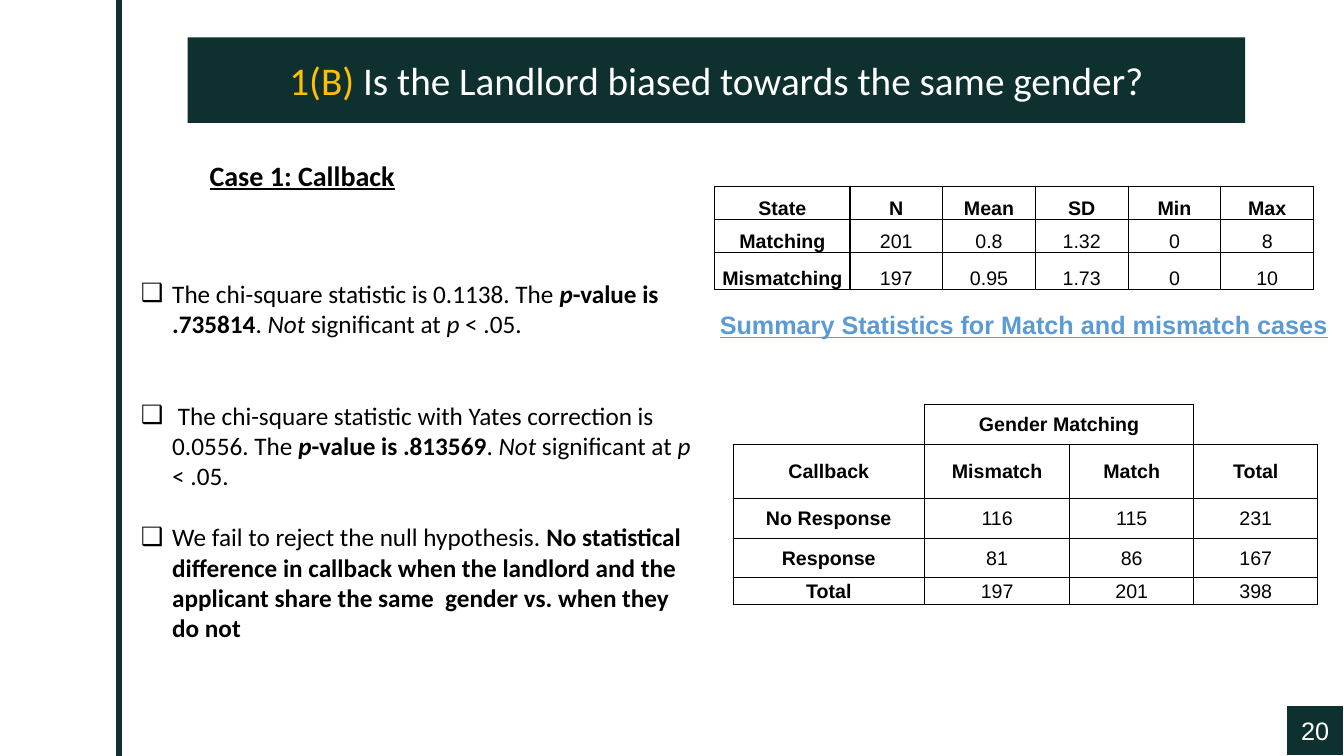
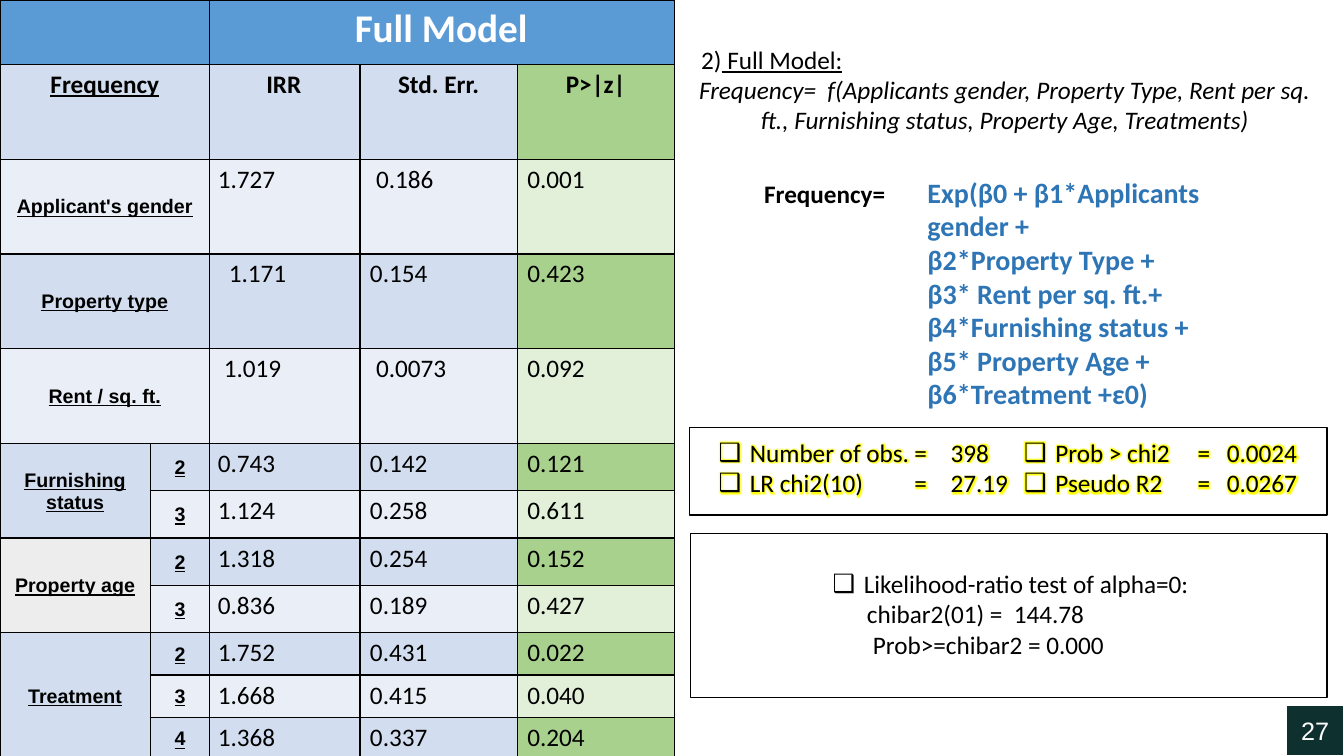
from dataclasses import dataclass, field
from typing import Any, NamedTuple

from lxml import etree
from pptx import Presentation
from pptx.dml.color import RGBColor
from pptx.enum.shapes import MSO_CONNECTOR, MSO_SHAPE
from pptx.enum.text import MSO_ANCHOR, PP_ALIGN
from pptx.oxml.ns import qn
from pptx.util import Inches, Pt

CENTER = PP_ALIGN.CENTER
TOP, MIDDLE, BOTTOM = MSO_ANCHOR.TOP, MSO_ANCHOR.MIDDLE, MSO_ANCHOR.BOTTOM
RECT, STRAIGHT = MSO_SHAPE.RECTANGLE, MSO_CONNECTOR.STRAIGHT

DARK = RGBColor(0x0E, 0x30, 0x2F)
GOLD = RGBColor(0xFF, 0xC0, 0x00)
WHITE = RGBColor(0xFF, 0xFF, 0xFF)
BLACK = RGBColor(0x00, 0x00, 0x00)
BLUE = RGBColor(0x5B, 0x9B, 0xD5)
NAVY = RGBColor(0x2E, 0x75, 0xB6)
GRAY = RGBColor(0xED, 0xED, 0xED)
BANDS = (RGBColor(0xEA, 0xEF, 0xF7), RGBColor(0xD2, 0xDE, 0xEF))
GREENS = (RGBColor(0xE2, 0xF0, 0xD9), RGBColor(0xA9, 0xD1, 0x8E))
GLOW = "FFFF00"

BODY = {"name": "Calibri", "size": Pt(18), "color": BLACK}
CELL = {"name": "Arial", "size": Pt(14), "color": BLACK}
HEAD = CELL | {"bold": True}
LABEL = HEAD | {"underline": True}
BOLD, ITALIC = {"bold": True}, {"italic": True}
SIDES = "LRTB"
TIGHT = (0.01, 0.01, 0.01, 0)
NORMAL = (0.1, 0.05, 0.1, 0.05)


class Box(NamedTuple):
    left: float
    top: float
    width: float
    height: float

    def emu(self) -> list[Any]:
        return [Inches(value) for value in self]


class Run(NamedTuple):
    text: str
    font: dict[str, Any] = {}


@dataclass
class Para:
    runs: list[Run]
    style: dict[str, Any] = field(default_factory=dict)
    left: float = 0
    bullet: bool = False
    tabs: tuple[float, ...] = ()


@dataclass
class Look:
    """How one table cell is drawn."""
    font: dict[str, Any]
    style: dict[str, Any] = field(default_factory=dict)
    anchor: Any = TOP
    pads: tuple[float, ...] = NORMAL
    fill: RGBColor | None = None


def plain(text: str, **options: Any) -> Para:
    return Para([Run(text)], **options)


def child(parent: Any, tag: str, **values: Any) -> Any:
    return etree.SubElement(parent, qn(tag), {key: str(val) for key, val in values.items()})


def add_run(para: Any, run: Run, base: dict[str, Any]) -> Any:
    part = para.add_run()
    part.text = run.text
    for key, value in (base | run.font).items():
        if key == "color":
            part.font.color.rgb = value
        else:
            setattr(part.font, key, value)
    return part


def write(frame: Any, paras: list[Para], base: dict[str, Any], glow: bool = False) -> None:
    for index, item in enumerate(paras):
        para = frame.add_paragraph() if index else frame.paragraphs[0]
        for key, value in item.style.items():
            setattr(para, key, value)
        props = para._p.get_or_add_pPr()
        if item.left:
            props.set("marL", str(Inches(item.left)))
        if item.bullet:
            props.set("indent", str(-Inches(item.left)))
            child(props, "a:buFont", typeface="Arial")
            child(props, "a:buChar", char="❑")
        if item.tabs:
            stops = child(props, "a:tabLst")
            for stop in item.tabs:
                child(stops, "a:tab", pos=Inches(stop), algn="l")
        for run in item.runs:
            part = add_run(para, run, base)
            if glow:
                add_glow(part)


def add_glow(run: Any) -> None:
    props = run.font._element
    effect = etree.Element(qn("a:effectLst"))
    halo = child(effect, "a:glow", rad=Inches(0.07))
    child(halo, "a:srgbClr", val=GLOW)
    props.find(qn("a:solidFill")).addnext(effect)


def add_text(slide: Any, box: Box, paras: list[Para], base: dict[str, Any],
             wrap: bool = True, glow: bool = False) -> None:
    frame = slide.shapes.add_textbox(*box.emu()).text_frame
    frame.word_wrap = wrap
    write(frame, paras, base, glow)


def add_rect(slide: Any, box: Box, fill: RGBColor | None = None,
             line: RGBColor | None = None) -> Any:
    shape = slide.shapes.add_shape(RECT, *box.emu())
    shape.shadow.inherit = False
    if fill is None:
        shape.fill.background()
    else:
        shape.fill.solid()
        shape.fill.fore_color.rgb = fill
    if line is None:
        shape.line.fill.background()
    else:
        shape.line.color.rgb = line
        shape.line.width = Pt(1)
    shape.text_frame.vertical_anchor = MIDDLE
    return shape.text_frame


def add_number(slide: Any, number: str) -> None:
    frame = add_rect(slide, Box(12.76, 7, 0.57, 0.5), DARK, WHITE)
    write(frame, [plain(number, style={"alignment": CENTER})],
          {"name": "Arial", "size": Pt(18), "color": WHITE})


def add_edges(cell: Any, width: float, sides: str) -> None:
    props = cell._tc.get_or_add_tcPr()
    for side in SIDES:
        line = child(props, f"a:ln{side}", w=Pt(width))
        if side in sides:
            child(child(line, "a:solidFill"), "a:srgbClr", val=BLACK)
        else:
            child(line, "a:noFill")


def add_grid(slide: Any, box: Box, cols: list[float], rows: list[float], width: float,
             open_cells: dict[tuple[int, int], str] | None = None) -> Any:
    """Add an empty table with black cell borders."""
    table = slide.shapes.add_table(len(rows), len(cols), *box.emu()).table
    table.first_row = table.horz_banding = False
    for line, size in zip(table.columns, cols):
        line.width = Inches(size)
    for line, size in zip(table.rows, rows):
        line.height = Inches(size)
    for r in range(len(rows)):
        for c in range(len(cols)):
            cell = table.cell(r, c)
            add_edges(cell, width, (open_cells or {}).get((r, c), SIDES))
            cell.fill.background()
    return table


def fill_cell(cell: Any, text: str, look: Look) -> None:
    sides = ("margin_left", "margin_top", "margin_right", "margin_bottom")
    for name, pad in zip(sides, look.pads):
        setattr(cell, name, Inches(pad))
    cell.vertical_anchor = look.anchor
    if look.fill is not None:
        cell.fill.solid()
        cell.fill.fore_color.rgb = look.fill
    if text:
        write(cell.text_frame, [plain(text, style=look.style)], look.font)


def fill_rows(table: Any, rows: list[list[str]], look: Look, first: int = 0) -> None:
    """Fill rows whose heading row and heading column are bold."""
    for r, row in enumerate(rows):
        for c, text in enumerate(row):
            look.font = CELL if r and c else HEAD
            fill_cell(table.cell(r + first, c), text, look)


def draw_bias(slide: Any) -> None:
    title = add_rect(slide, Box(1.86, 0.37, 10.49, 0.85), DARK)
    write(title, [Para([Run("1(B) ", {"color": GOLD}),
                        Run("Is the Landlord biased towards the same gender?")],
                       {"alignment": CENTER})],
          BODY | {"size": Pt(28), "color": WHITE})
    rule = slide.shapes.add_connector(STRAIGHT, Inches(1.18), 0, Inches(1.18), Inches(7.5))
    rule.line.color.rgb = DARK
    rule.line.width = Pt(4.5)
    child(rule._element.spPr, "a:effectLst")

    stats = add_grid(slide, Box(7.09, 1.85, 5.94, 0.89), [1.34] + [0.92] * 5,
                     [0.26, 0.26, 0.37], 1)
    fill_rows(stats, [["State", "N", "Mean", "SD", "Min", "Max"],
                      ["Matching", "201", "0.8", "1.32", "0", "8"],
                      ["Mismatching", "197", "0.95", "1.73", "0", "10"]],
              Look(CELL, {"alignment": CENTER, "line_spacing": 1.5}, BOTTOM, (0.07, 0, 0.07, 0)))
    add_text(slide, Box(7.04, 3.02, 6.29, 0.4),
             [plain("Summary Statistics for Match and mismatch cases")],
             LABEL | {"size": Pt(18), "color": BLUE}, wrap=False)

    cross = add_grid(slide, Box(7.27, 4.01, 5.8, 1.99), [1.9, 1.44, 1.23, 1.23],
                     [0.4, 0.53, 0.4, 0.39, 0.27], 0.5, {(0, 0): "RB", (0, 3): "LB"})
    cross.cell(0, 1).merge(cross.cell(0, 2))
    look = Look(HEAD, {"alignment": CENTER}, MIDDLE, TIGHT)
    fill_cell(cross.cell(0, 1), "Gender Matching", look)
    fill_rows(cross, [["Callback", "Mismatch", "Match", "Total"],
                      ["No Response", "116", "115", "231"],
                      ["Response", "81", "86", "167"],
                      ["Total", "197", "201", "398"]], look, first=1)

    add_text(slide, Box(1.98, 1.52, 3.2, 0.44), [plain("Case 1: Callback")],
             BODY | {"size": Pt(20), "bold": True, "underline": True})
    verdict = [Run(". "), Run("Not", ITALIC), Run(" significant at "),
               Run("p", ITALIC), Run(" < .05.")]
    points = [
        (0, [Run("The chi-square statistic is 0.1138. The "), Run("p", BOLD | ITALIC),
             Run("-value is .735814", BOLD), *verdict]),
        (44, [Run(" The chi-square statistic with Yates correction is 0.0556. The "),
              Run("p", BOLD | ITALIC), Run("-value is .813569", BOLD), *verdict]),
        (22, [Run("We fail to reject the null hypothesis. "),
              Run("No statistical difference in callback when the landlord and the applicant "
                  "share the same  gender vs. when they do not", BOLD)]),
    ]
    add_text(slide, Box(1.3, 2.71, 5.75, 4.04),
             [Para(runs, {"space_before": Pt(gap)}, 0.31, True) for gap, runs in points], BODY)
    add_number(slide, "20")


def draw_model(slide: Any) -> None:
    heights = [0.64] + [0.94] * 4 + [0.47] * 4 + [0.42] * 3
    middle = {"alignment": CENTER}
    values = add_grid(slide, Box(2.06, 0, 4.63, 7.5), [1.51, 1.56, 1.56], heights, 1)
    values.cell(0, 0).merge(values.cell(0, 2))
    fill_cell(values.cell(0, 0), "Full Model",
              Look(BODY | BOLD | {"size": Pt(28), "color": WHITE}, middle, fill=BLUE))
    rows = [("IRR", "Std. Err.", "P>|z|"),
            ("1.727", "0.186", "0.001"), ("1.171", "0.154", "0.423"),
            ("1.019", "0.0073", "0.092"), ("0.743", "0.142", "0.121"),
            ("1.124", "0.258", "0.611"), ("1.318", "0.254", "0.152"),
            ("0.836", "0.189", "0.427"), ("1.752", "0.431", "0.022"),
            ("1.668", "0.415", "0.040"), ("1.368", "0.337", "0.204")]
    shifts = {(2, 1): 0.16, (3, 0): 0.21, (4, 0): 0.16, (4, 1): 0.16}
    for r, row in enumerate(rows, 1):
        for c, text in enumerate(row):
            look = Look(BODY | {"bold": r == 1}, middle if r == 1 else {},
                        pads=(shifts.get((r, c), 0.1),) + NORMAL[1:],
                        fill=(GREENS if c == 2 else BANDS)[r % 2])
            fill_cell(values.cell(r, c), text, look)

    names = add_grid(slide, Box(0, 0, 2.08, 7.5), [1.49, 0.59], heights, 1)
    wide = ["", "Frequency", "Applicant's gender", "Property type", "Rent / sq. ft."]
    for r, text in enumerate(wide):
        names.cell(r, 0).merge(names.cell(r, 1))
        look = Look(LABEL, middle, MIDDLE, TIGHT, BANDS[r % 2] if r else BLUE)
        if r == 1:
            look = Look(LABEL | BODY, middle, fill=BANDS[1])
        fill_cell(names.cell(r, 0), text, look)
    start = len(wide)
    for text, count, fill in (("Furnishing status", 2, BANDS[1]), ("Property age", 2, GRAY),
                              ("Treatment", 3, BANDS[1])):
        names.cell(start, 0).merge(names.cell(start + count - 1, 0))
        fill_cell(names.cell(start, 0), text, Look(LABEL, middle, MIDDLE, TIGHT, fill))
        for step in range(count):
            fill_cell(names.cell(start + step, 1), str(step + 2),
                      Look(LABEL, middle, MIDDLE, TIGHT, BANDS[(start + step) % 2]))
        start += count

    add_text(slide, Box(6.8, 0.39, 6.33, 1.01), [
        Para([Run(" 2)"), Run(" Full Model:", {"underline": True})]),
        Para([Run("Frequency=  f(Applicants gender, Property Type, Rent per sq. ft., "
                  "Furnishing status, Property Age, Treatments)", ITALIC)], middle)], BODY)
    add_text(slide, Box(7.48, 1.72, 2.36, 0.4), [plain("Frequency=")], BODY | BOLD)
    terms = ["Exp(β0 + β1*Applicants gender +", "β2*Property Type +", "β3* Rent per sq. ft.+",
             "β4*Furnishing status +", "β5* Property Age +", "β6*Treatment +ε0)"]
    add_text(slide, Box(9.1, 1.69, 3.68, 2.46), [plain(term) for term in terms],
             BODY | BOLD | {"size": Pt(20), "color": NAVY})
    for left, tabs, lines in (
            (7.03, (1.94, 2.3), ["Number of obs.\t=\t398", "LR chi2(10)\t=\t27.19"]),
            (10.06, (1.72, 2.01), ["Prob > chi2\t=\t0.0024", "Pseudo R2\t=\t0.0267"])):
        add_text(slide, Box(left, 4.29, 3.47, 0.71),
                 [plain(line, left=0.31, bullet=True, tabs=tabs) for line in lines],
                 BODY, glow=True)
    add_text(slide, Box(8.16, 5.59, 5, 1.01), [
        plain("Likelihood-ratio test of alpha=0:", left=0.31, bullet=True),
        plain("chibar2(01) =  144.78", left=0.34),
        plain("Prob>=chibar2 = 0.000", left=0.4)], BODY)
    for box in (Box(6.84, 4.24, 6.32, 0.87), Box(6.85, 5.29, 6.31, 1.63)):
        add_rect(slide, box, line=BLACK)
    add_number(slide, "27")


def main() -> None:
    deck = Presentation()
    deck.slide_width, deck.slide_height = Inches(13.33), Inches(7.5)
    for draw in (draw_bias, draw_model):
        draw(deck.slides.add_slide(deck.slide_layouts[6]))
    deck.save("out.pptx")


if __name__ == "__main__":
    main()
